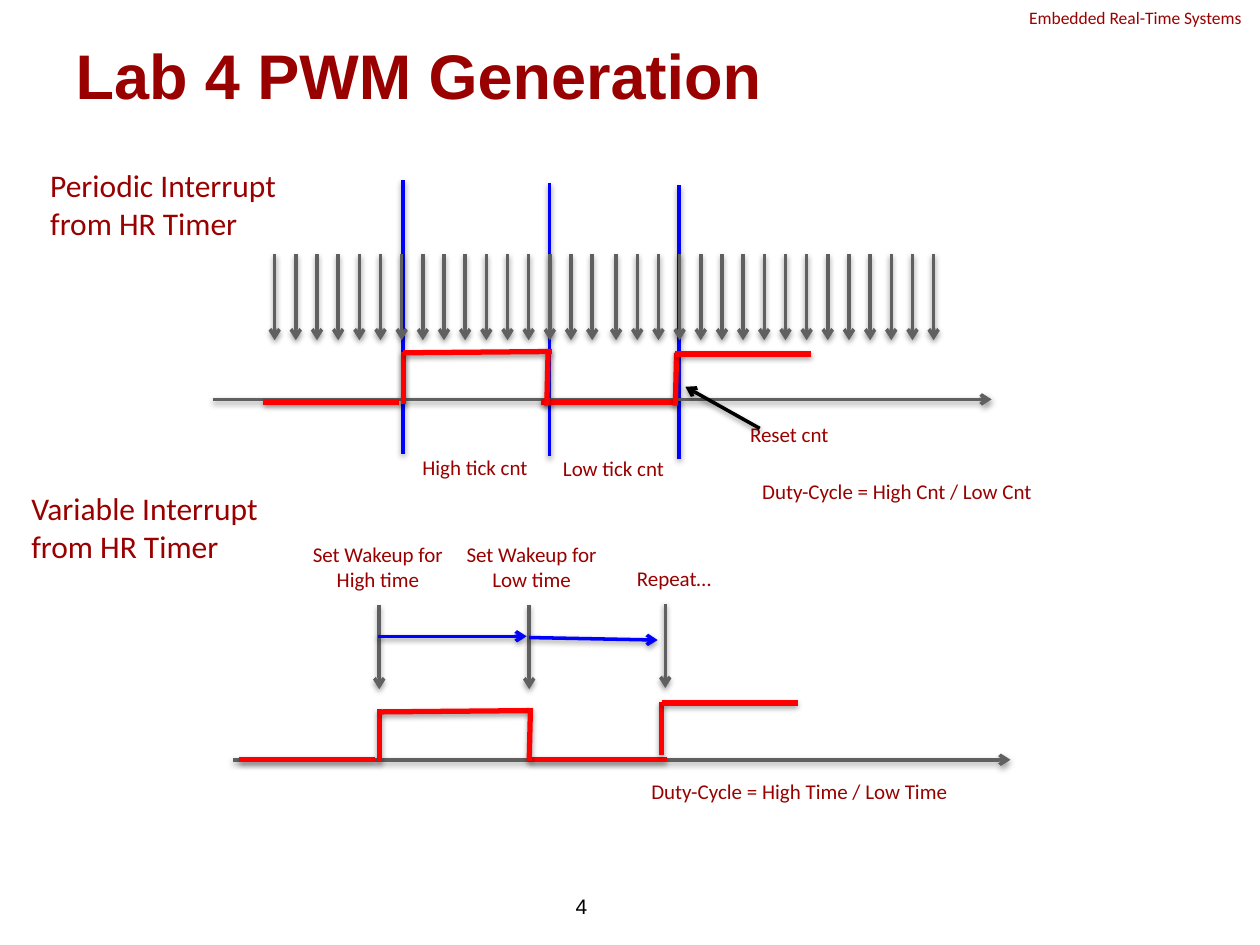
from lxml import etree
from pptx import Presentation
from pptx.dml.color import RGBColor
from pptx.enum import shapes, text
from pptx.oxml import parse_xml
from pptx.oxml.ns import nsdecls, qn
from pptx.util import Inches, Pt

COLORS = {"text": "990000", "axis": "606060", "signal": "FF0000",
          "marker": "0000FF", "black": "000000"}
SHADOW = (f'<a:effectLst {nsdecls("a")}>'
          '<a:outerShdw blurRad="40000" dist="20000" dir="5400000" rotWithShape="0">'
          '<a:srgbClr val="000000"><a:alpha val="38000"/></a:srgbClr>'
          '</a:outerShdw></a:effectLst>')
LEFT, CENTER, RIGHT = (text.PP_ALIGN.LEFT, text.PP_ALIGN.CENTER,
                       text.PP_ALIGN.RIGHT)


def add_line(s, start, end, color, width=2, arrow=False):
    points = [Inches(v) for v in (*start, *end)]
    line = s.shapes.add_connector(shapes.MSO_CONNECTOR.STRAIGHT, *points)
    line.line.color.rgb = RGBColor.from_string(COLORS[color])
    line.line.width = Pt(width)
    if arrow:
        ln = line.line._get_or_add_ln()
        etree.SubElement(ln, qn("a:tailEnd"), type="arrow")
    line._element.spPr.append(parse_xml(SHADOW))


def add_signal(s, segments):
    for start, end in segments:
        add_line(s, start, end, "signal", 3)


def add_run(p, words, size, font="Calibri", color="text", bold=False):
    r = p.add_run()
    r.text = words
    r.font.size = Pt(size)
    r.font.name = font
    r.font.bold = bold
    r.font.color.rgb = RGBColor.from_string(COLORS[color])


def add_label(s, words, box, size=12, align=CENTER, **style):
    sp = s.shapes.add_textbox(*[Inches(v) for v in box])
    tf = sp.text_frame
    tf.word_wrap = True
    p = tf.paragraphs[0]
    p.alignment = align
    add_run(p, words, size, **style)
    return tf


def set_title(s, words):
    title = s.shapes.title
    title.left, title.top = Inches(0.5), Inches(0.3)
    title.width, title.height = Inches(9), Inches(0.58)
    tf = title.text_frame
    tf.auto_size = text.MSO_AUTO_SIZE.NONE
    tf.vertical_anchor = text.MSO_ANCHOR.MIDDLE
    tf.paragraphs[0].alignment = LEFT
    add_run(tf.paragraphs[0], words, 36, "Arial", bold=True)


def draw_periodic(s):
    # Period boundaries
    for x, top in ((3.2, 1.43), (4.36, 1.45), (5.39, 1.47)):
        add_line(s, (x, top + 2.17), (x, top), "marker")

    # Time axis and two bursts of timer ticks
    add_line(s, (1.69, 3.17), (7.87, 3.17), "axis", arrow=True)
    for first in (2.18, 4.89):
        for i in range(16):
            x = first + i * 0.168
            add_line(s, (x, 2.02), (x, 2.7), "axis", arrow=True)

    # PWM signal
    add_signal(s, [
        ((2.09, 3.19), (3.17, 3.19)), ((3.2, 3.21), (3.2, 2.79)),
        ((3.2, 2.8), (4.38, 2.79)), ((4.29, 3.19), (5.37, 3.19)),
        ((4.34, 3.22), (4.35, 2.8)), ((5.36, 3.22), (5.37, 2.8)),
        ((5.36, 2.81), (6.44, 2.81))])

    # Labels and the reset pointer
    add_label(s, "Periodic Interrupt from HR Timer", (0.3, 1.27, 2.22, 0.71),
              18, LEFT)
    add_label(s, "High tick cnt", (3.07, 3.56, 1.4, 0.3))
    add_label(s, "Low tick cnt", (4.17, 3.57, 1.4, 0.3))
    add_label(s, "Duty-Cycle = High Cnt / Low Cnt", (5.66, 3.75, 2.92, 0.3))
    add_label(s, "Reset cnt", (5.75, 3.3, 1.03, 0.3))
    add_line(s, (6.03, 3.4), (5.44, 3.07), "black", arrow=True)


def draw_variable(s):
    # Time axis and wakeup interrupts
    add_line(s, (1.85, 6.03), (8.02, 6.03), "axis", arrow=True)
    for x, top in ((3.01, 4.8), (4.2, 4.8), (5.28, 4.79)):
        add_line(s, (x, top), (x, top + 0.67), "axis", arrow=True)

    # PWM signal
    add_signal(s, [
        ((1.9, 6.03), (2.98, 6.03)), ((3.01, 6.05), (3.01, 5.63)),
        ((3.02, 5.65), (4.2, 5.64)), ((4.2, 6.03), (5.29, 6.03)),
        ((4.2, 6.04), (4.21, 5.62)), ((5.25, 5.99), (5.25, 5.57)),
        ((5.25, 5.58), (6.33, 5.58))])

    # High and low durations
    add_line(s, (3, 5.05), (4.18, 5.05), "marker", arrow=True)
    add_line(s, (4.2, 5.06), (5.22, 5.08), "marker", arrow=True)

    # Labels
    add_label(s, "Set Wakeup for High time", (2.3, 4.25, 1.4, 0.5))
    add_label(s, "Set Wakeup for Low time", (3.52, 4.25, 1.4, 0.5))
    add_label(s, "Repeat…", (4.65, 4.44, 1.4, 0.3))
    add_label(s, "Duty-Cycle = High Time / Low Time", (4.87, 6.13, 2.95, 0.3))
    add_label(s, "Variable Interrupt from HR Timer", (0.15, 3.83, 2.22, 0.71),
              18, LEFT)


def main():
    prs = Presentation()
    prs.slide_width, prs.slide_height = Inches(10), Inches(7.5)
    s = prs.slides.add_slide(prs.slide_layouts[5])

    # Header, title and page number
    add_label(s, "Embedded Real-Time Systems", (8.07, 0.01, 2.27, 0.27), 10, LEFT)
    set_title(s, "Lab 4 PWM Generation")
    tf = add_label(s, "4", (2.43, 6.99, 2.33, 0.4), 12, RIGHT,
                   font="Arial", color="black")
    tf.vertical_anchor = text.MSO_ANCHOR.MIDDLE

    draw_periodic(s)
    draw_variable(s)
    prs.save("out.pptx")


if __name__ == "__main__":
    main()
